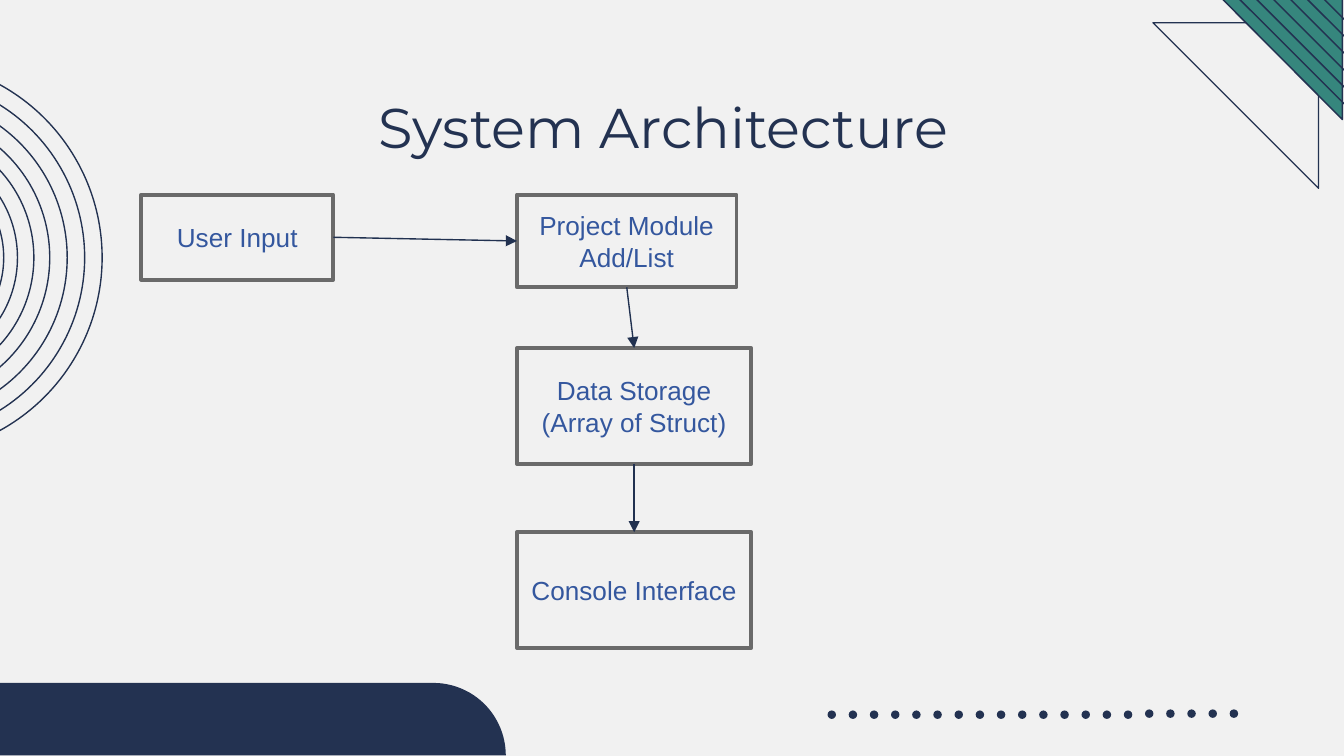
from math import cos, pi, sin

from lxml.etree import SubElement
from pptx import Presentation
from pptx.dml.color import RGBColor
from pptx.enum.shapes import MSO_CONNECTOR as CONN, MSO_SHAPE as SHAPE
from pptx.enum.text import MSO_ANCHOR as ANCHOR, PP_ALIGN as ALIGN
from pptx.oxml.ns import qn
from pptx.util import Cm, Pt

BACKGROUND = RGBColor(0xF1, 0xF1, 0xF1)
NAVY = RGBColor(0x23, 0x32, 0x51)
ARROW_NAVY = RGBColor(0x21, 0x31, 0x50)
TEAL = RGBColor(0x36, 0x86, 0x7D)
BORDER = RGBColor(0x6A, 0x6A, 0x6A)
BOX_TEXT = RGBColor(0x34, 0x57, 0x9E)

TOP, LEFT, BOTTOM, RIGHT = range(4)


def style_shape(sp, fill=None, line=None, width=0.75):
    sp.shadow.inherit = False
    if fill is None:
        sp.fill.background()
    else:
        sp.fill.solid()
        sp.fill.fore_color.rgb = fill
    if line is None:
        sp.line.fill.background()
    else:
        sp.line.color.rgb = line
        sp.line.width = Pt(width)


def set_text(tf, text, font, size, color):
    tf.word_wrap = True
    tf.text = text
    for p in tf.paragraphs:
        p.alignment = ALIGN.CENTER
        for r in p.runs:
            r.font.name = font
            r.font.size = Pt(size)
            r.font.color.rgb = color


def add_polygon(s, points, **style):
    """Draw a closed outline through points given in centimetres."""
    start, *rest = [(Cm(x), Cm(y)) for x, y in points]
    builder = s.shapes.build_freeform(*start)
    builder.add_line_segments(rest, close=True)
    style_shape(builder.convert_to_shape(), **style)


def add_circle(s, x, y, radius, **style):
    """Draw a circle around the centre x, y."""
    sp = s.shapes.add_shape(SHAPE.OVAL, Cm(x - radius), Cm(y - radius),
                            Cm(2 * radius), Cm(2 * radius))
    style_shape(sp, **style)


def add_line(s, x1, y1, x2, y2, color, width):
    line = s.shapes.add_connector(CONN.STRAIGHT, Cm(x1), Cm(y1), Cm(x2), Cm(y2))
    line.line.color.rgb = color
    line.line.width = Pt(width)
    SubElement(line._element.spPr, qn("a:effectLst"))
    return line


def add_arrow(s, source, source_side, target, target_side):
    arrow = add_line(s, 0, 0, 0, 0, ARROW_NAVY, 0.75)
    arrow.begin_connect(source, source_side)
    arrow.end_connect(target, target_side)
    SubElement(arrow.line._get_or_add_ln(), qn("a:tailEnd"), type="triangle")


def add_box(s, text, x, y, w, h):
    sp = s.shapes.add_shape(SHAPE.RECTANGLE, Cm(x), Cm(y), Cm(w), Cm(h))
    style_shape(sp, fill=BACKGROUND, line=BORDER, width=2)
    sp.text_frame.vertical_anchor = ANCHOR.MIDDLE
    set_text(sp.text_frame, text, "Arial", 14, BOX_TEXT)
    return sp


def add_title(s, text):
    tf = s.shapes.add_textbox(Cm(2.41), Cm(1.5), Cm(20.55), Cm(1.6)).text_frame
    tf.margin_top = tf.margin_bottom = Cm(0.25)
    set_text(tf, text, "Montserrat", 30, NAVY)


def add_footer_block(s):
    """Draw the bottom bar with its rounded top right corner."""
    bottom, radius, corner_x, steps = 14.28, 1.37, 8.19, 24
    angles = [pi / 2 * i / steps for i in range(steps + 1)]
    arc = [(corner_x + radius * sin(a), bottom - radius * cos(a)) for a in angles]
    add_polygon(s, [(-0.02, bottom), (-0.02, bottom - radius), *arc], fill=NAVY)


def add_rings(s):
    for radius in (3.73, 3.4, 3.07, 2.74, 2.44, 2.13, 1.87):
        add_circle(s, -1.8, 4.87, radius, line=NAVY)


def add_dots(s):
    for i in range(20):
        y = 13.51 if i < 15 else 13.49
        add_circle(s, 15.72 + 0.4 * i, y, 0.08, fill=NAVY)


def add_corner_triangles(s):
    add_polygon(s, [(24.92, 0.43), (24.92, 3.56), (21.79, 0.43)], line=NAVY)
    add_polygon(s, [(25.37, -0.03), (25.37, 2.26), (23.09, -0.03)],
                fill=TEAL, line=NAVY, width=0.78)
    length = 2.11
    for i in range(6):
        x, y = 23.34 + 0.16 * i, -0.1 - 0.16 * i
        add_line(s, x + length, y + length, x, y, NAVY, 0.78)


def add_flow(s):
    user = add_box(s, "User Input", 2.67, 3.68, 3.63, 1.61)
    module = add_box(s, "Project Module\nAdd/List", 9.77, 3.68, 4.15, 1.75)
    storage = add_box(s, "Data Storage\n(Array of Struct)", 9.77, 6.58, 4.43, 2.19)
    console = add_box(s, "Console Interface", 9.77, 10.06, 4.43, 2.19)
    add_arrow(s, user, RIGHT, module, LEFT)
    add_arrow(s, module, BOTTOM, storage, TOP)
    add_arrow(s, storage, BOTTOM, console, TOP)


def main():
    prs = Presentation()
    prs.slide_width, prs.slide_height = Cm(25.4), Cm(14.29)
    s = prs.slides.add_slide(prs.slide_layouts[6])
    s.background.fill.solid()
    s.background.fill.fore_color.rgb = BACKGROUND
    add_footer_block(s)
    add_rings(s)
    add_dots(s)
    add_corner_triangles(s)
    add_title(s, "System Architecture ")
    add_flow(s)
    prs.save("out.pptx")


if __name__ == "__main__":
    main()
